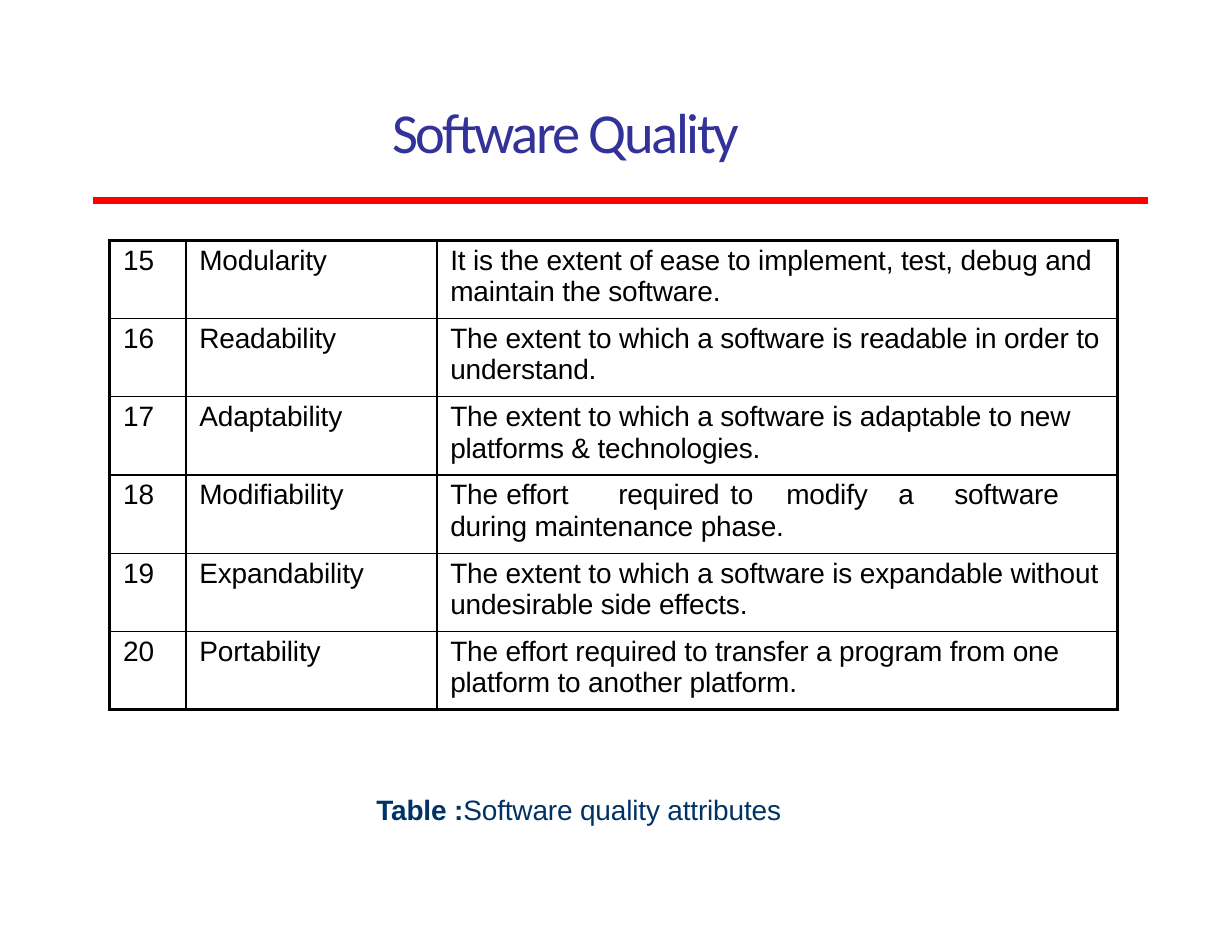
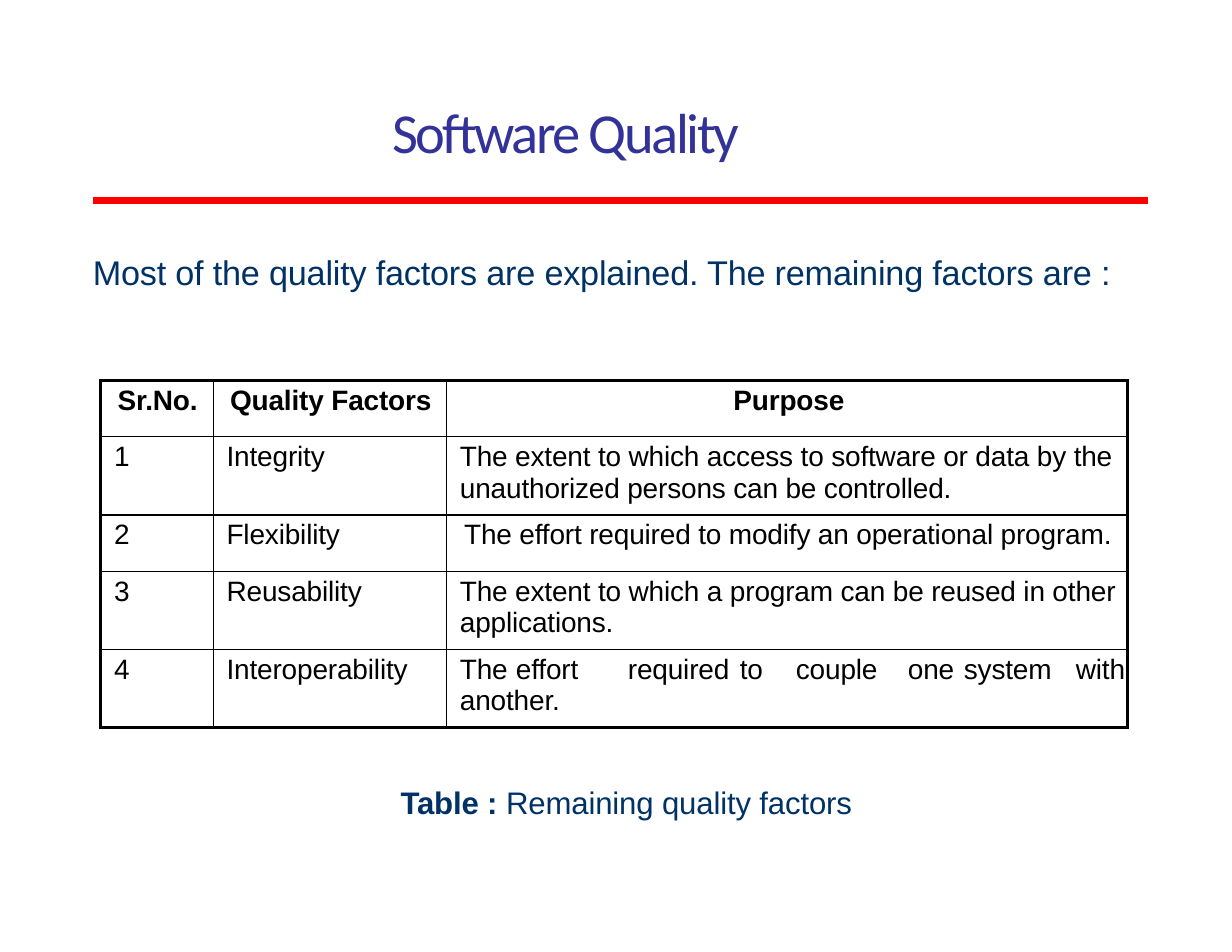
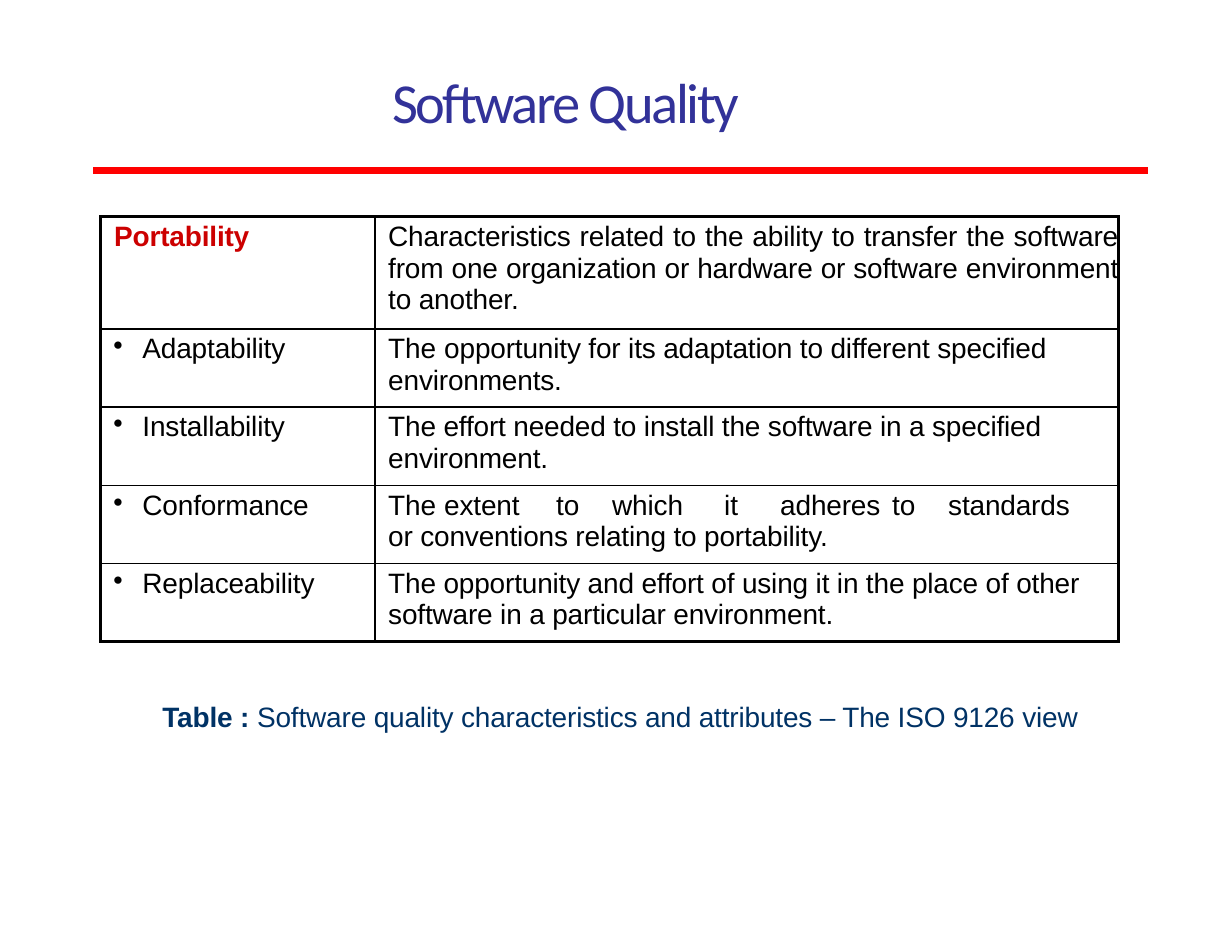
from lxml.etree import SubElement
from pptx import Presentation
from pptx.dml.color import RGBColor
from pptx.enum.shapes import MSO_CONNECTOR
from pptx.enum.text import MSO_ANCHOR, MSO_AUTO_SIZE, PP_ALIGN
from pptx.oxml.ns import qn
from pptx.util import Pt

COLORS = {"title": "323299", "rule": "FF0000", "note": "003265", "ink": "000000", "key": "CC0000"}
THICK, THIN = 2.25, 1


def write(para, runs, size, color, face="Arial", track=-0.1, before=1,
          left=0.7, hang=0, align=PP_ALIGN.LEFT, bullet=False, tabs=()):
    """Fill a paragraph with (text, bold) runs."""
    para.alignment = align
    para.space_before = Pt(before)
    props = para._p.get_or_add_pPr()
    props.set("marL", str(Pt(left)))
    props.set("indent", str(Pt(hang)))
    if bullet:
        SubElement(props, qn("a:buChar"), char="•")
    if tabs:
        stops = SubElement(props, qn("a:tabLst"))
        for stop in tabs:
            SubElement(stops, qn("a:tab"), pos=str(Pt(stop)), algn="l")
    for text, bold in runs:
        run = para.add_run()
        run.text = text
        font = run.font
        font.name, font.size, font.bold = face, Pt(size), bold
        font.color.rgb = RGBColor.from_string(COLORS[color])
        run._r.get_or_add_rPr().set("spc", str(round(track * 100)))


def label(slide, box, runs, size, color="note", anchor=MSO_ANCHOR.TOP, **style):
    """Add a text box without side margins."""
    frame = slide.shapes.add_textbox(*map(Pt, box)).text_frame
    frame.word_wrap = True
    frame.auto_size = MSO_AUTO_SIZE.SHAPE_TO_FIT_TEXT
    frame.vertical_anchor = anchor
    frame.margin_left = frame.margin_right = frame.margin_bottom = 0
    frame.margin_top = Pt(1)
    write(frame.paragraphs[0], runs, size, color, **style)


def head(slide, top):
    """Add the red rule at the given height and the title above it."""
    rule = slide.shapes.add_connector(MSO_CONNECTOR.STRAIGHT, Pt(60), Pt(top), Pt(738), Pt(top))
    rule.line.color.rgb = RGBColor.from_string(COLORS["rule"])
    rule.line.width = Pt(4.5)
    SubElement(rule._element.spPr, qn("a:effectLst"))
    label(slide, (251.3, top - 69.8, 289.4, 49.7), [("Software Quality", False)], 36.3, "title",
          MSO_ANCHOR.MIDDLE, face="Calibri", track=-1.6)


def edge(cell, widths):
    """Draw the left, right, top and bottom borders of a cell."""
    props = cell._tc.get_or_add_tcPr()
    for side, width in zip("LRTB", widths):
        line = SubElement(props, qn(f"a:ln{side}"), w=str(Pt(width)))
        fill = SubElement(line, qn("a:solidFill"))
        SubElement(fill, qn("a:srgbClr"), val=COLORS["ink"])


def item(text, bold=False, color="ink", **style):
    """Describe one table cell."""
    return text, bold, color, {"before": 3.1, "left": 8.6, **style}


def point(text):
    """Describe a bulleted table cell."""
    return item(text, left=26.8, hang=-18.7, bullet=True)


def grid(slide, left, top, cols, heights, rows):
    """Add a table with a thick frame and thin inner lines."""
    shape = slide.shapes.add_table(len(rows), len(cols), Pt(left), Pt(top),
                                   Pt(sum(cols)), Pt(sum(heights)))
    table = shape.table
    table.first_row = table.horz_banding = False
    for col, width in zip(table.columns, cols):
        col.width = Pt(width)
    for row, height in zip(table.rows, heights):
        row.height = Pt(height)
    for r, row in enumerate(rows):
        for c, entry in enumerate(row):
            cell = table.cell(r, c)
            outer = (c == 0, c == len(cols) - 1, r == 0, r == len(rows) - 1)
            edge(cell, [THICK if out else THIN for out in outer])
            cell.fill.background()
            cell.margin_left = cell.margin_right = cell.margin_bottom = 0
            cell.margin_top = Pt(2.9)
            text, bold, color, style = item(entry) if isinstance(entry, str) else entry
            write(cell.text_frame.paragraphs[0], [(text, bold)], 18, color, **style)


def traits(slide):
    """Build the slide of quality attributes 15 to 20."""
    head(slide, 128.9)
    effort = item("The\teffort\trequired\tto\tmodify\ta\tsoftware\tduring maintenance phase.",
                  tabs=(52.6, 106.6, 185, 212.4, 277.9, 301, 381.6))
    pairs = [
        ("Modularity", "It is the extent of ease to implement, test, debug and maintain the software."),
        ("Readability", "The extent to which a software is readable in order to understand."),
        ("Adaptability", "The extent to which a software is adaptable to new platforms & technologies."),
        ("Modifiability", effort),
        ("Expandability",
         "The extent to which a software is expandable without undesirable side effects."),
        ("Portability",
         "The effort required to transfer a program from one platform to another platform."),
    ]
    rows = [(str(n), *pair) for n, pair in enumerate(pairs, 15)]
    grid(slide, 70.6, 154.5, (49, 161.3, 437.8), [50.3] * 6, rows)
    label(slide, (241.2, 508.3, 296.6, 23.8),
          [("Table :", True), ("Software quality attributes", False)], 18)


def factors(slide):
    """Build the slide of remaining quality factors."""
    head(slide, 128.9)
    label(slide, (59, 160.6, 673.9, 27.4),
          [("Most of the quality factors are explained. The remaining factors are :", False)], 22)
    couple = item("The\teffort\trequired\tto\tcouple\tone\tsystem\twith another.",
                  tabs=(53.3, 108.7, 188.6, 217.4, 285.1, 329, 400.3))
    modify = item("The effort required to modify an operational program.",
                  left=0.7, align=PP_ALIGN.CENTER)
    pairs = [
        ("Integrity", "The extent to which access to software or data by the unauthorized persons "
                      "can be controlled."),
        ("Flexibility", modify),
        ("Reusability", "The extent to which a program can be reused in other applications."),
        ("Interoperability", couple),
    ]
    top = (item("Sr.No.", True, left=10.8), item("Quality Factors", True, left=10.8),
           item("Purpose", True, left=2.2, align=PP_ALIGN.CENTER))
    rows = [top] + [(str(n), *pair) for n, pair in enumerate(pairs, 1)]
    grid(slide, 64.8, 244.6, (72.3, 150, 437.9), (36.2, 50.3, 36.2, 50.3, 50.3), rows)
    label(slide, (139, 502.6, 526.3, 25.9),
          [("Table : ", True), ("Remaining quality factors", False)], 20, align=PP_ALIGN.CENTER)


def porting(slide):
    """Build the slide of portability in the ISO 9126 view."""
    head(slide, 109.4)
    rows = [
        (item("Portability", True, "key"),
         item("Characteristics related to the ability to transfer the software from one "
              "organization or hardware or software environment to another.",
              align=PP_ALIGN.JUSTIFY)),
        (point("Adaptability"),
         item("The\topportunity for its adaptation to different specified environments.",
              tabs=(49.7,))),
        (point("Installability"),
         "The effort needed to install the software in a specified environment."),
        (point("Conformance"),
         item("The\textent\tto\twhich\tit\tadheres\tto\tstandards\tor conventions relating to "
              "portability.", tabs=(56.9, 123.1, 155.5, 218.9, 244.8, 326.9, 359.3, 455.8))),
        (point("Replaceability"),
         "The opportunity and effort of using it in the place of other software in a "
         "particular environment."),
    ]
    grid(slide, 64.8, 139.4, (176.2, 477.8), [72] + [50.3] * 4, rows)
    label(slide, (103.7, 448.6, 614.9, 23),
          [("Table : ", True),
           ("Software quality characteristics and attributes – The ISO 9126 view", False)], 18)


def main():
    """Build and save the deck."""
    deck = Presentation()
    deck.slide_width, deck.slide_height = Pt(792), Pt(612)
    for build in (traits, factors, porting):
        build(deck.slides.add_slide(deck.slide_layouts[6]))
    deck.save("out.pptx")


if __name__ == "__main__":
    main()
